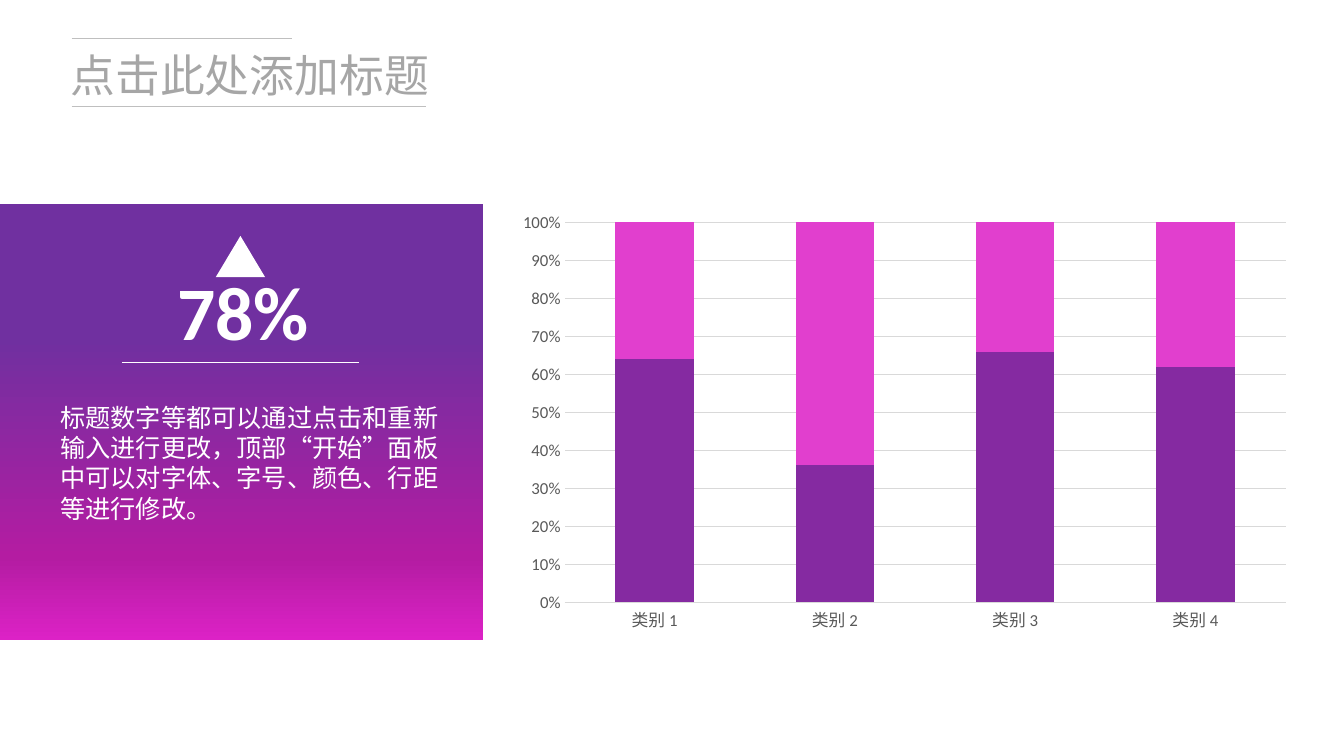
from pptx import Presentation
from pptx.chart.data import CategoryChartData
from pptx.dml.color import RGBColor
from pptx.enum.chart import XL_CHART_TYPE as ChartType, XL_TICK_MARK as TickMark
from pptx.enum.shapes import MSO_CONNECTOR as Connector, MSO_SHAPE as Shape
from pptx.enum.text import MSO_AUTO_SIZE as AutoSize, PP_ALIGN as Align
from pptx.oxml import parse_xml
from pptx.oxml.ns import nsdecls
from pptx.util import Pt

COLORS = {
    "white": "FFFFFF", "title": "A6A6A6", "rule": "BFBFBF",
    "grid": "D9D9D9", "label": "595959",
    "purple": "852AA1", "pink": "E13FCE",
    "panel_top": "7030A0", "panel_low": "B41CA2", "panel_end": "DC22C6",
}
PANEL_STOPS = [(0, "panel_top"), (31, "panel_top"), (81, "panel_low"), (100, "panel_end")]
LATIN, CHINESE = "Calibri", "Noto Sans CJK SC"
SHARES = {"Series 1": ([64, 36, 66, 62], "purple"),
          "Series 2": ([36, 64, 34, 38], "pink")}


def color(name):
    """Return the named colour."""
    return RGBColor.from_string(COLORS[name])


def add_text(page, text, left, top, width, height, *, size, fill,
             font=CHINESE, bold=False, wrap=True, align=Align.LEFT):
    """Add a text box holding one formatted paragraph."""
    box = page.shapes.add_textbox(Pt(left), Pt(top), Pt(width), Pt(height))
    frame = box.text_frame
    frame.word_wrap = wrap
    frame.auto_size = AutoSize.SHAPE_TO_FIT_TEXT
    para = frame.paragraphs[0]
    para.alignment = align
    span = para.add_run()
    span.text = text
    span.font.size, span.font.bold, span.font.name = Pt(size), bold, font
    span.font.color.rgb = color(fill)
    span.font._element.append(parse_xml(f'<a:ea {nsdecls("a")} typeface="{font}"/>'))


def add_rule(page, left, top, width, fill):
    """Add a thin horizontal line."""
    rule = page.shapes.add_connector(
        Connector.STRAIGHT, Pt(left), Pt(top), Pt(left + width), Pt(top))
    rule.line.width = Pt(0.5)
    rule.line.color.rgb = color(fill)
    rule._element.spPr.append(parse_xml(f'<a:effectLst {nsdecls("a")}/>'))


def add_plain_shape(page, kind, left, top, width, height):
    """Add a preset shape without outline or shadow."""
    shape = page.shapes.add_shape(kind, Pt(left), Pt(top), Pt(width), Pt(height))
    shape.shadow.inherit = False
    shape.line.fill.background()
    return shape


def add_title(page, left, top, width, height):
    """Place the heading between its short and long rules."""
    add_rule(page, left + 7.9, top + height, 253.5, "rule")
    add_rule(page, left + 7.9, top - 2.9, 157.7, "rule")
    add_text(page, "点击此处添加标题", left, top, width, height, size=32, fill="title")


def add_panel(page, left, top, width, height):
    """Place the gradient panel with its key figure and description."""
    panel = add_plain_shape(page, Shape.RECTANGLE, left, top, width, height)
    stops = "".join(
        f'<a:gs pos="{position * 1000}"><a:srgbClr val="{COLORS[name]}"/></a:gs>'
        for position, name in PANEL_STOPS)
    panel._element.spPr.insert(2, parse_xml(
        f'<a:gradFill {nsdecls("a")} rotWithShape="1"><a:gsLst>{stops}</a:gsLst>'
        '<a:lin ang="5400000" scaled="0"/></a:gradFill>'))

    add_text(page, "78%", left + 118.8, top + 40.3, 109.4, 72.7, size=54,
             fill="white", font=LATIN, bold=True, wrap=False, align=Align.CENTER)
    triangle = add_plain_shape(
        page, Shape.ISOSCELES_TRIANGLE, left + 154.1, top + 23, 35.3, 29.5)
    triangle.fill.solid()
    triangle.fill.fore_color.rgb = color("white")
    add_rule(page, left + 87.1, top + 113, 169.2, "white")
    add_text(page, "标题数字等都可以通过点击和重新输入进行更改，顶部“开始”面板中可以对字体、"
             "字号、颜色、行距等进行修改。",
             left + 36, top + 138.2, 286.6, 94.3, size=18, fill="white")


def style_axis(axis):
    """Give an axis its label font and hide its ticks."""
    axis.major_tick_mark = axis.minor_tick_mark = TickMark.NONE
    font = axis.tick_labels.font
    font.size, font.name = Pt(12), LATIN
    font.color.rgb = color("label")


def add_share_chart(page, left, top, width, height):
    """Place the chart of stacked percentages."""
    data = CategoryChartData()
    data.categories = [f"类别 {number}" for number in range(1, 5)]
    for name, (values, _) in SHARES.items():
        data.add_series(name, values)
    chart = page.shapes.add_chart(
        ChartType.COLUMN_STACKED_100, Pt(left), Pt(top), Pt(width), Pt(height), data).chart
    chart.has_legend = chart.has_title = False
    chart.font.size, chart.font.name = Pt(10), LATIN

    plot = chart.plots[0]
    plot.gap_width, plot.overlap, plot.vary_by_categories = 130, 100, False
    for series in plot.series:
        series.format.fill.solid()
        series.format.fill.fore_color.rgb = color(SHARES[series.name][1])

    categories, shares = chart.category_axis, chart.value_axis
    style_axis(categories)
    style_axis(shares)
    shares.major_unit = 0.1
    shares.tick_labels.number_format = "0%"
    shares.tick_labels.number_format_is_linked = False
    shares.format.line.fill.background()
    for line in (categories.format.line, shares.major_gridlines.format.line):
        line.width = Pt(0.75)
        line.color.rgb = color("grid")


def main():
    """Build and save the deck."""
    deck = Presentation()
    deck.slide_width, deck.slide_height = Pt(960), Pt(540)
    page = deck.slides.add_slide(deck.slide_layouts[6])
    add_share_chart(page, 362.2, 145.5, 567.4, 311.8)
    add_panel(page, 0, 145.5, 344.9, 311.8)
    add_title(page, 43.2, 30.3, 274.3, 46)
    deck.save("out.pptx")


if __name__ == "__main__":
    main()
